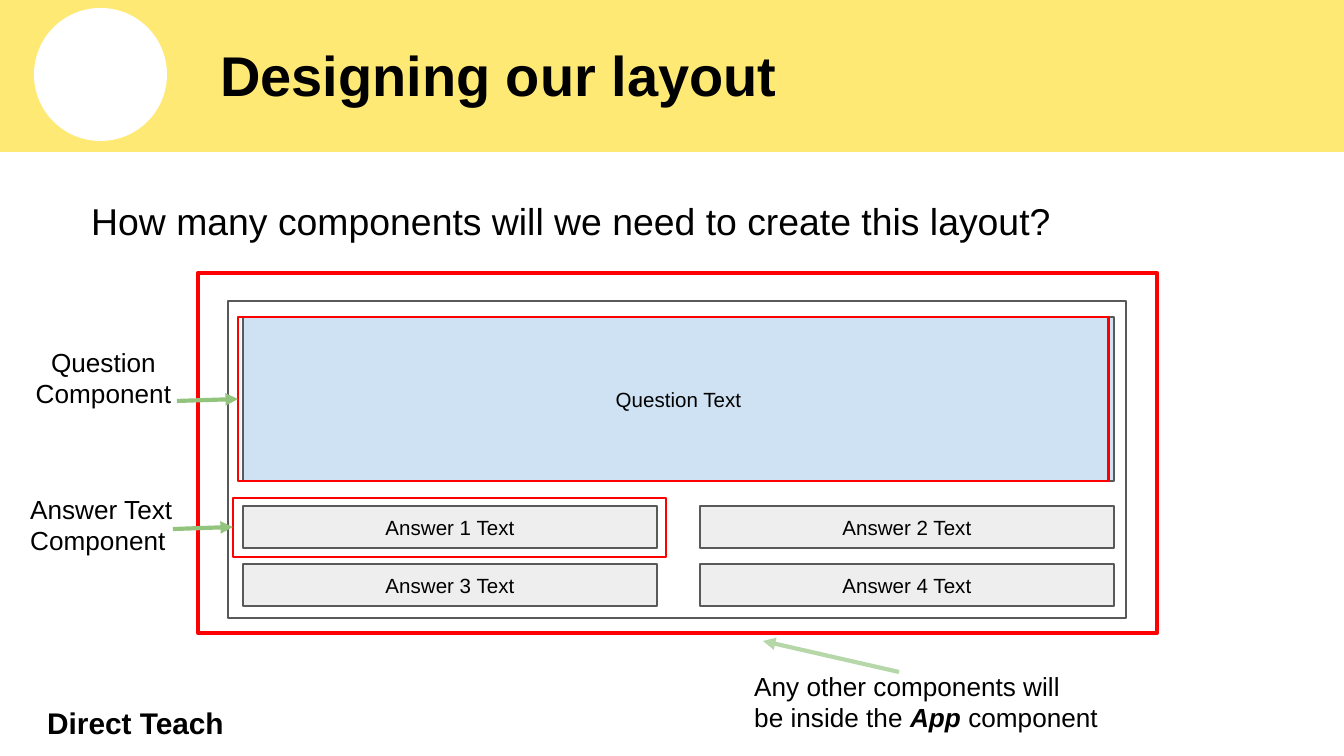
from lxml import etree
from pptx import Presentation
from pptx.dml.color import RGBColor
from pptx.enum import shapes, text
from pptx.oxml import ns
from pptx import util as u

PX = 6804  # EMU, 134.4 px to the inch
RED, GREY, BLACK = "FF0000", "595959", "000000"
MIDDLE, TOP = text.MSO_ANCHOR.MIDDLE, text.MSO_ANCHOR.TOP
LEFT, CENTER = text.PP_ALIGN.LEFT, text.PP_ALIGN.CENTER
RECT = shapes.MSO_SHAPE.RECTANGLE

deck = Presentation()
deck.slide_width, deck.slide_height = 1344 * PX, 756 * PX
page = deck.slides.add_slide(deck.slide_layouts[6])


def add_box(rect, fill=None, line=None, weight=0.75, kind=RECT):
    box = page.shapes.add_shape(kind, *[n * PX for n in rect])
    box.shadow.inherit = False
    if fill:
        box.fill.solid()
        box.fill.fore_color.rgb = RGBColor.from_string(fill)
    else:
        box.fill.background()
    if line:
        box.line.color.rgb = RGBColor.from_string(line)
        box.line.width = u.Pt(weight)
    else:
        box.line.fill.background()
    return box


def write(box, lines, size, anchor=MIDDLE, align=LEFT, bold=False):
    """Fill a box with one paragraph per line; the box is returned."""
    frame = box.text_frame
    frame.word_wrap = True
    frame.vertical_anchor = anchor
    frame.margin_left = frame.margin_right = u.Inches(0.1)
    frame.margin_top = frame.margin_bottom = u.Inches(0.1)
    for i, line in enumerate(lines):
        para = frame.paragraphs[0] if i == 0 else frame.add_paragraph()
        para.alignment = align
        para.add_run().text = line
        para.font.name = "Arial"
        para.font.size = u.Pt(size)
        para.font.bold = bold
        para.font.color.rgb = RGBColor.from_string(BLACK)
    return box


# Header band
add_box((0, -1, 1344, 152), "FEE975", "FEE975")
add_box((34, 8, 133, 133), "FFFFFF", kind=shapes.MSO_SHAPE.OVAL)

# Headings and footer
for rect, line, size, anchor, bold in [
    ((34, 706, 403, 34), "Direct Teach", 16, MIDDLE, True),
    ((207, 8, 1102, 133), "Designing our layout", 30, MIDDLE, True),
    ((78, 185, 1187, 87), "How many components will we need to create this layout?",
     20, TOP, False),
]:
    box = page.shapes.add_textbox(*[n * PX for n in rect])
    write(box, [line], size, anchor, bold=bold)

# Quiz layout: one question above a two by two grid of answers
add_box((228, 301, 898, 317), line=GREY)
question = add_box((243, 317, 871, 164), "CFE2F3", GREY)
write(question, ["Question Text"], 11, align=CENTER)
for i in range(4):
    row, column = divmod(i, 2)
    answer = add_box((243 + 457 * column, 506 + 58 * row, 414, 42), "EEEEEE", GREY)
    write(answer, [f"Answer {i + 1} Text"], 11, align=CENTER)

# Component outlines
for rect, weight in [
    ((233, 498, 433, 59), 1.5),
    ((238, 317, 871, 164), 1.5),
    ((198, 273, 959, 360), 2.25),
]:
    add_box(rect, line=RED, weight=weight)

# Component labels
for rect, lines, align in [
    ((17, 480, 191, 87), ["Answer Text", "Component"], LEFT),
    ((8, 333, 191, 87), ["Question", "Component"], CENTER),
    ((741, 657, 386, 87), ["Any other components will", "be inside the "], LEFT),
]:
    label = page.shapes.add_textbox(*[n * PX for n in rect])
    write(label, lines, 14, TOP, align)

app_para = label.text_frame.paragraphs[-1]
span = app_para.add_run()
span.text = "App"
span.font.bold = span.font.italic = True
app_para.add_run().text = " component"

# Arrows from labels to components
for ends, color in [
    ((173, 529, 233, 527), "93C47D"),
    ((177, 401, 238, 399), "93C47D"),
    ((899, 672, 763, 641), "B6D7A8"),
]:
    arrow = page.shapes.add_connector(
        shapes.MSO_CONNECTOR.STRAIGHT, *[n * PX for n in ends])
    arrow.line.color.rgb = RGBColor.from_string(color)
    arrow.line.width = u.Pt(2.25)
    etree.SubElement(arrow.line._get_or_add_ln(), ns.qn("a:tailEnd"), type="triangle")
    etree.SubElement(arrow._element.spPr, ns.qn("a:effectLst"))

deck.save("out.pptx")
